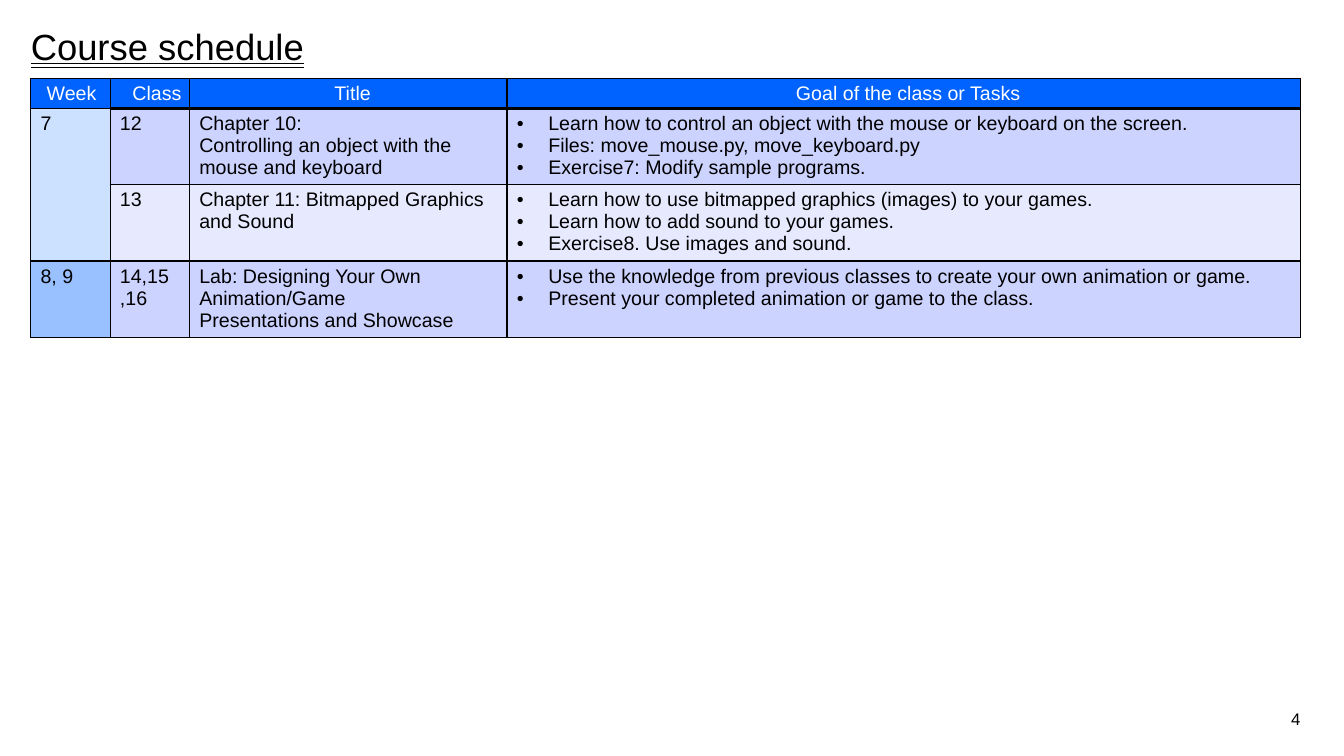
from lxml import etree
from pptx import Presentation
from pptx.dml.color import RGBColor
from pptx.enum.text import MSO_UNDERLINE, PP_ALIGN
from pptx.oxml.ns import qn
from pptx.util import Pt

LEFT, CENTER, RIGHT = PP_ALIGN.LEFT, PP_ALIGN.CENTER, PP_ALIGN.RIGHT
DOUBLE = MSO_UNDERLINE.DOUBLE_LINE
BLACK, WHITE, BLUE = "000000", "FFFFFF", "0062FF"
DARK, LIGHT = "CCD3FF", "E7EAFF"
SHARES = (1, 1, 4, 10)
HEADS = ("Week", "Class", "Title", "Goal of the class or Tasks")
ROWS = (
    ("7", "12", "Chapter 10:\vControlling an object with the mouse and keyboard",
     "Learn how to control an object with the mouse or keyboard on the screen.\n"
     "Files: move_mouse.py, move_keyboard.py\n"
     "Exercise7: Modify sample programs."),
    ("", "13", "Chapter 11: Bitmapped Graphics and Sound",
     "Learn how to use bitmapped graphics (images) to your games.\n"
     "Learn how to add sound to your games.\n"
     "Exercise8. Use images and sound."),
    ("8, 9", "14,15\n,16",
     "Lab: Designing Your Own Animation/Game\nPresentations and Showcase",
     "Use the knowledge from previous classes to create your own animation or game.\n"
     "Present your completed animation or game to the class."),
)
FILLS = (("CCE0FF", DARK), ("CCE0FF", LIGHT), ("99C0FF", DARK))


def color(code):
    return RGBColor.from_string(code)


def style(para, size, code, align=LEFT):
    para.font.name = "Arial"
    para.font.size = Pt(size)
    para.font.color.rgb = color(code)
    para.alignment = align


def add_text(slide, box, text, size, align=LEFT, inset=(0, 0)):
    frame = slide.shapes.add_textbox(*map(Pt, box)).text_frame
    frame.word_wrap = True
    frame.margin_left = frame.margin_right = Pt(inset[0])
    frame.margin_top = frame.margin_bottom = Pt(inset[1])
    para = frame.paragraphs[0]
    para.text = text
    style(para, size, BLACK, align)
    return para


def add_title(slide, box):
    para = add_text(slide, box, "Course schedule", 26)
    para.line_spacing = 0.9
    para.font.underline = DOUBLE


def add_bullet(para):
    props = para._p.get_or_add_pPr()
    props.set("marL", str(Pt(22.5)))
    props.set("indent", str(Pt(-22.5)))
    font = etree.SubElement(props, qn("a:buFont"))
    font.set("typeface", "Arial")
    etree.SubElement(props, qn("a:buChar")).set("char", "•")


def add_border(cell, top, bottom):
    props = cell._tc.get_or_add_tcPr()
    for side, width in (("L", 1), ("R", 1), ("T", top), ("B", bottom)):
        line = etree.SubElement(props, qn("a:ln" + side), w=str(Pt(width)))
        fill = etree.SubElement(line, qn("a:solidFill"))
        etree.SubElement(fill, qn("a:srgbClr"), val=BLACK)


def fill_cell(cell, row, col, text):
    head = row == 0
    cell.margin_left = Pt(11 if head and col == 1 else 7)
    cell.margin_right = Pt(5.5 if head and col == 0 else 0.75)
    cell.margin_top, cell.margin_bottom = Pt(3), Pt(0)
    thick = 3 if col else 1
    add_border(cell, thick if row == 1 else 1, thick if head else 1)
    cell.fill.solid()
    code = BLUE if head else FILLS[row - 1][min(col, 1)]
    cell.fill.fore_color.rgb = color(code)
    cell.text_frame.text = text
    for para in cell.text_frame.paragraphs:
        style(para, 14, WHITE if head else BLACK, CENTER if head else LEFT)
        if col == 3 and not head:
            add_bullet(para)


def add_schedule(slide, box):
    left, top, width, height = box
    data = (HEADS,) + ROWS
    table = slide.shapes.add_table(len(data), len(HEADS), *map(Pt, box)).table
    for column, share in zip(table.columns, SHARES):
        column.width = Pt(width * share / sum(SHARES))
    first = 21.5
    for row, line in enumerate(data):
        table.rows[row].height = Pt((height - first) / len(ROWS) if row else first)
        for col, text in enumerate(line):
            fill_cell(table.cell(row, col), row, col, text)
    table.cell(1, 0).merge(table.cell(2, 0))


def main():
    deck = Presentation()
    deck.slide_width, deck.slide_height = Pt(960), Pt(540)
    slide = deck.slides.add_slide(deck.slide_layouts[6])
    add_title(slide, (22, 21, 435, 84))
    add_schedule(slide, (22, 56, 907.2, 185))
    add_text(slide, (744, 502.5, 192, 17.5), "4", 12, RIGHT, (7.2, 3.6))
    deck.save("out.pptx")


if __name__ == "__main__":
    main()
